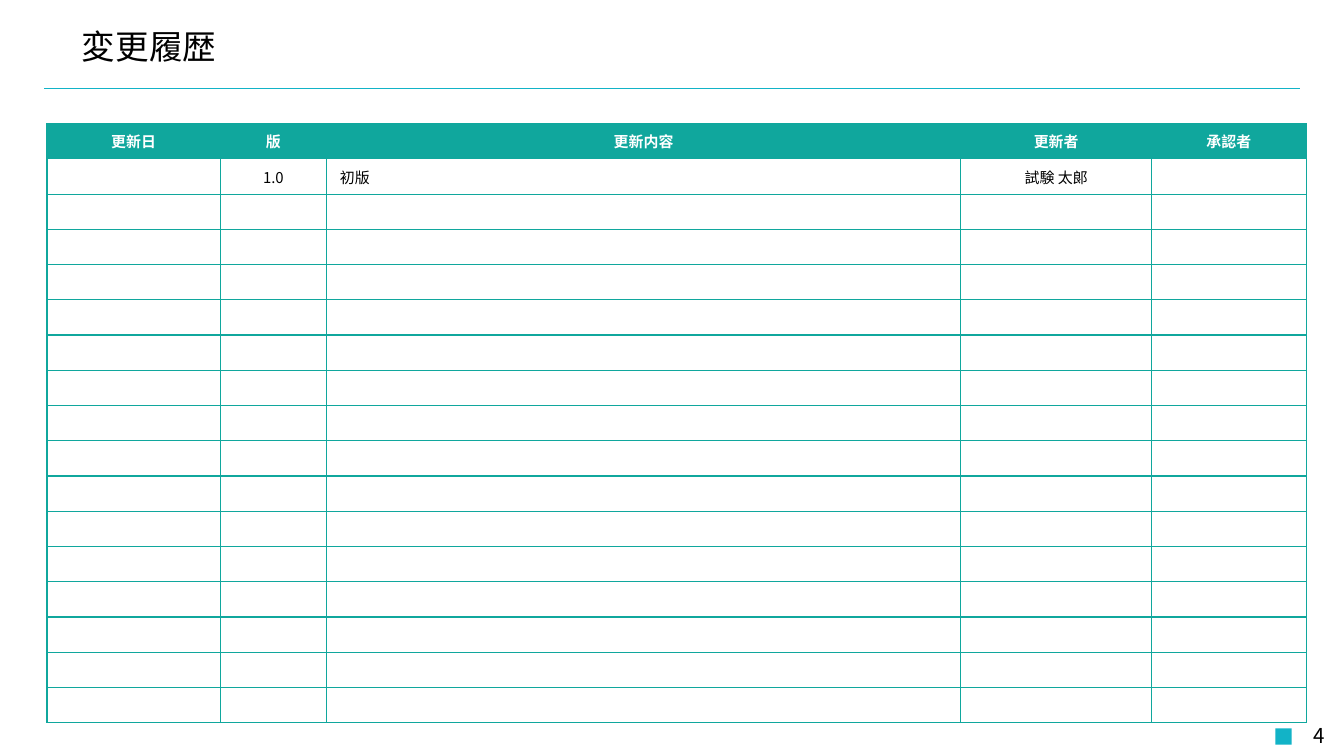
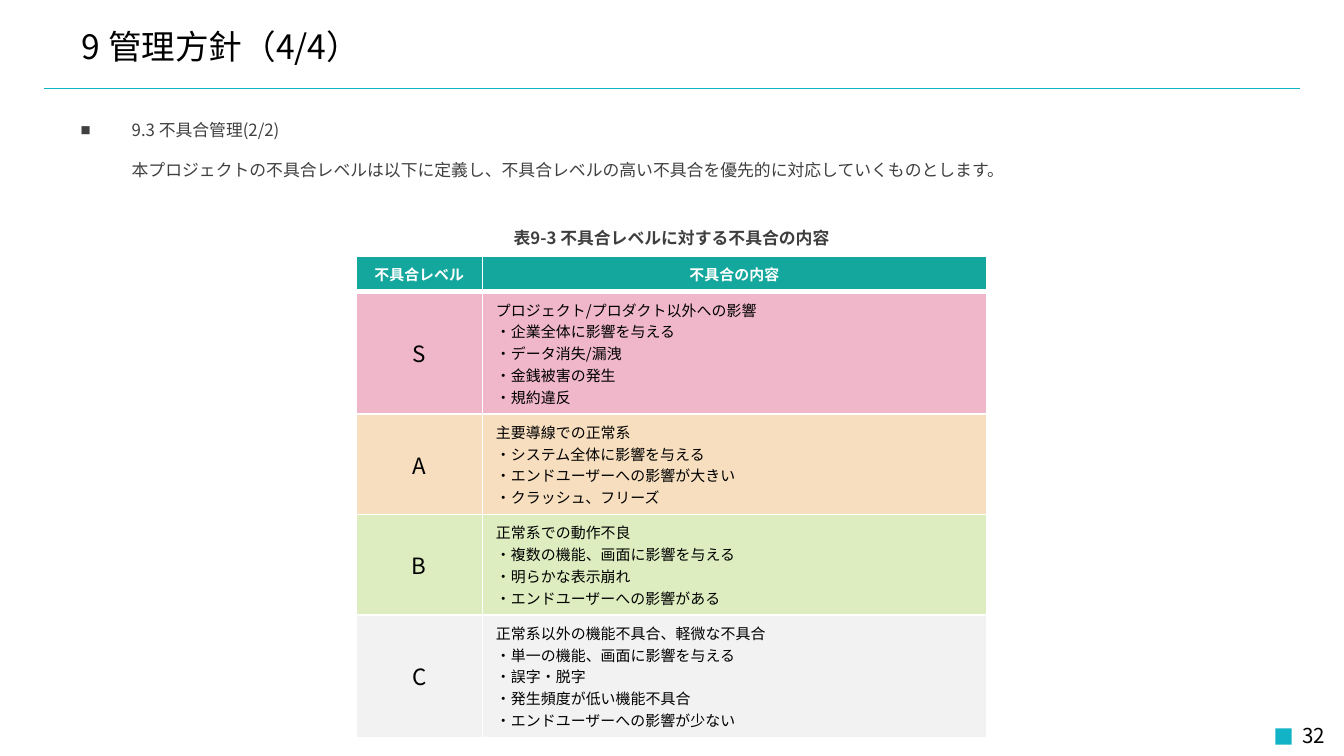
from lxml import etree
from pptx import Presentation
from pptx.dml.color import RGBColor
from pptx.enum.shapes import MSO_CONNECTOR, MSO_SHAPE
from pptx.enum.text import MSO_ANCHOR, MSO_AUTO_SIZE, PP_ALIGN
from pptx.oxml.ns import qn
from pptx.util import Inches, Pt

LEFT, CENTER, RIGHT = PP_ALIGN.LEFT, PP_ALIGN.CENTER, PP_ALIGN.RIGHT
TOP, MIDDLE = MSO_ANCHOR.TOP, MSO_ANCHOR.MIDDLE
STRAIGHT, RECTANGLE = MSO_CONNECTOR.STRAIGHT, MSO_SHAPE.RECTANGLE
NO_AUTOFIT = MSO_AUTO_SIZE.NONE
FONT = "Noto Sans CJK JP"
COLORS = {
    "accent": "12B3C7", "grid": "10A79D", "header": "14A79D",
    "text": "000000", "body": "404040", "caption": "3F3F3F", "white": "FFFFFF",
    "S": "EFB7C9", "A": "F6DEBF", "B": "DEEDC0", "C": "F2F2F2",
}
TITLE_ONLY, TITLE_AND_BODY = 5, 1
LINE_H, CELL_PAD = 0.16, 0.05  # height of an 8 pt line, cell margin

HISTORY_HEADER = ["更新日", "版", "更新内容", "更新者", "承認者"]
HISTORY_FIRST = ["", "1.0", "初版", "試験 太郎", ""]
HISTORY_ROWS = 17
LEVELS = [
    ("S", ["プロジェクト/プロダクト以外への影響", "・企業全体に影響を与える",
           "・データ消失/漏洩\v・金銭被害の発生", "・規約違反"]),
    ("A", ["主要導線での正常系", "・システム全体に影響を与える",
           "・エンドユーザーへの影響が大きい\v・クラッシュ、フリーズ"]),
    ("B", ["正常系での動作不良", "・複数の機能、画面に影響を与える",
           "・明らかな表示崩れ", "・エンドユーザーへの影響がある"]),
    ("C", ["正常系以外の機能不具合、軽微な不具合", "・単一の機能、画面に影響を与える",
           "・誤字・脱字", "・発生頻度が低い機能不具合",
           "・エンドユーザーへの影響が少ない"]),
]


def rgb(name):
    """Return a palette colour."""
    return RGBColor.from_string(COLORS[name])


def write(tf, lines, size, color="text", bold=False, align=LEFT):
    """Fill a text frame with paragraphs of one style."""
    tf.text = "\n".join(lines)
    for p in tf.paragraphs:
        p.alignment = align
        p.font.size, p.font.bold, p.font.name = Pt(size), bold, FONT
        p.font.color.rgb = rgb(color)
        def_rpr = p._p.pPr.find(qn("a:defRPr"))
        etree.SubElement(def_rpr, qn("a:ea"), typeface=FONT)
        if not p.runs:
            etree.SubElement(p._p, qn("a:endParaRPr"), sz=str(size * 100))


def set_frame(shape, box, anchor=MIDDLE, pad_x=0.1, pad_y=0.0):
    """Place a text shape and set its margins; return its text frame."""
    shape.left, shape.top, shape.width, shape.height = map(Inches, box)
    tf = shape.text_frame
    tf.word_wrap, tf.auto_size = True, NO_AUTOFIT
    tf.vertical_anchor = anchor
    tf.margin_left = tf.margin_right = Inches(pad_x)
    tf.margin_top = tf.margin_bottom = Inches(pad_y)
    return tf


def add_text(s, box, text, size, **style):
    """Add a one-paragraph text box and return its paragraph."""
    tf = set_frame(s.shapes.add_textbox(*map(Inches, box)), box)
    write(tf, [text], size, **style)
    return tf.paragraphs[0]


def new_slide(prs, layout, title, number):
    """Add a slide with its title, rule, marker and page number."""
    s = prs.slides.add_slide(prs.slide_layouts[layout])
    rule = s.shapes.add_connector(STRAIGHT, Inches(0.33), Inches(0.66),
                                  Inches(9.67), Inches(0.66))
    rule.line.color.rgb, rule.line.width = rgb("accent"), Pt(0.25)
    etree.SubElement(rule._element.spPr, qn("a:effectLst"))
    add_text(s, (8.57, 5.32, 1.39, 0.3), number, 11, align=RIGHT)
    marker = s.shapes.add_shape(RECTANGLE, Inches(9.49), Inches(5.42),
                                Inches(0.12), Inches(0.12))
    marker.shadow.inherit = False
    marker.fill.solid()
    marker.fill.fore_color.rgb = rgb("accent")
    marker.line.fill.background()
    write(set_frame(s.shapes.title, (0.51, 0.14, 9, 0.4)), [title], 18)
    return s


def add_grid(s, left, top, widths, heights):
    """Add a table with the given column widths and row heights."""
    table = s.shapes.add_table(len(heights), len(widths), Inches(left),
                               Inches(top), Inches(sum(widths)),
                               Inches(sum(heights))).table
    table.horz_banding = False
    for col, width in zip(table.columns, widths):
        col.width = Inches(width)
    for row, height in zip(table.rows, heights):
        row.height = Inches(height)
    return table


def fill_cell(cell, lines, borders, fill=None, size=8, anchor=TOP, **style):
    """Write a cell; borders maps a side (L, R, T, B) to colour and width."""
    write(cell.text_frame, lines, size, **style)
    cell.vertical_anchor = anchor
    cell.margin_left = cell.margin_right = Inches(0.1)
    cell.margin_top = cell.margin_bottom = Inches(CELL_PAD)
    tc_pr = cell._tc.get_or_add_tcPr()
    for side in "LRTB":
        color, width = borders[side]
        ln = etree.SubElement(tc_pr, qn("a:ln" + side), w=str(Pt(width)))
        solid = etree.SubElement(ln, qn("a:solidFill"))
        etree.SubElement(solid, qn("a:srgbClr"), val=COLORS[color])
    if fill:
        cell.fill.solid()
        cell.fill.fore_color.rgb = rgb(fill)
    else:
        cell.fill.background()


def history_table(s, left, top):
    """Draw the revision table: header, first entry and empty rows."""
    row_h = LINE_H + 2 * CELL_PAD
    table = add_grid(s, left, top, [1.29, 0.79, 4.72, 1.42, 1.15],
                     [row_h] * HISTORY_ROWS)
    borders = dict.fromkeys("LRTB", ("grid", 0.75))
    empty = [[""] * len(HISTORY_HEADER)] * (HISTORY_ROWS - 2)
    for i, row in enumerate([HISTORY_HEADER, HISTORY_FIRST] + empty):
        for j, text in enumerate(row):
            if i == 0:
                fill_cell(table.cell(i, j), [text], borders, "grid",
                          color="white", bold=True, align=CENTER)
            else:
                fill_cell(table.cell(i, j), [text], borders,
                          align=LEFT if j == 2 else CENTER)


def level_table(s, left, top):
    """Draw the defect levels, each row as high as its lines."""
    counts = [1] + [sum(1 + t.count("\v") for t in lines)
                    for _, lines in LEVELS]
    table = add_grid(s, left, top, [0.94, 3.75],
                     [n * LINE_H + 2 * CELL_PAD for n in counts])
    borders = dict.fromkeys("LRTB", ("white", 1))
    thick = ("white", 3)
    for j, text in enumerate(["不具合レベル", "不具合の内容"]):
        fill_cell(table.cell(0, j), [text], {**borders, "B": thick}, "header",
                  color="white", bold=True, align=CENTER)
    for i, (level, lines) in enumerate(LEVELS, 1):
        edges = {**borders, "T": thick} if i == 1 else borders
        fill_cell(table.cell(i, 0), [level], edges, level, size=12,
                  anchor=MIDDLE, align=CENTER)
        fill_cell(table.cell(i, 1), lines, edges, level)


def section_text(s, box, heading, text):
    """Fill the body with a bulleted heading and an indented line."""
    tf = set_frame(s.placeholders[1], box, anchor=TOP, pad_y=0.04)
    write(tf, [heading, text], 9, color="body")
    for p, before in zip(tf.paragraphs, (0, 10.6)):
        p.space_before = Pt(before)
        p_pr = p._p.pPr
        p_pr.set("marL", str(Inches(0.38)))
        p_pr.set("indent", str(Inches(-0.38 if before == 0 else 0)))
        def_rpr = p_pr.find(qn("a:defRPr"))
        if before == 0:
            def_rpr.addprevious(etree.Element(qn("a:buSzPct"), val="60000"))
            def_rpr.addprevious(etree.Element(qn("a:buFont"), typeface=FONT))
            def_rpr.addprevious(etree.Element(qn("a:buChar"), char="■"))
        else:
            def_rpr.addprevious(etree.Element(qn("a:buNone")))


def history_slide(prs):
    """Build the revision history slide."""
    s = new_slide(prs, TITLE_ONLY, "変更履歴", "4")
    history_table(s, 0.35, 0.92)


def policy_slide(prs):
    """Build the defect management slide."""
    s = new_slide(prs, TITLE_AND_BODY, "9 管理方針（4/4）", "32")
    section_text(s, (0.5, 0.85, 9, 0.55), "9.3 不具合管理(2/2)",
                 "本プロジェクトの不具合レベルは以下に定義し、"
                 "不具合レベルの高い不具合を優先的に対応していくものとします。")
    level_table(s, 2.65, 1.91)
    p = add_text(s, (2.82, 1.62, 4.35, 0.26),
                 "表9-3 不具合レベルに対する不具合の内容", 9,
                 color="caption", bold=True, align=CENTER)
    p.line_spacing = 1.3


prs = Presentation()
prs.slide_width = Inches(10)
prs.slide_height = prs.slide_width * 9 // 16
history_slide(prs)
policy_slide(prs)
prs.save("out.pptx")
